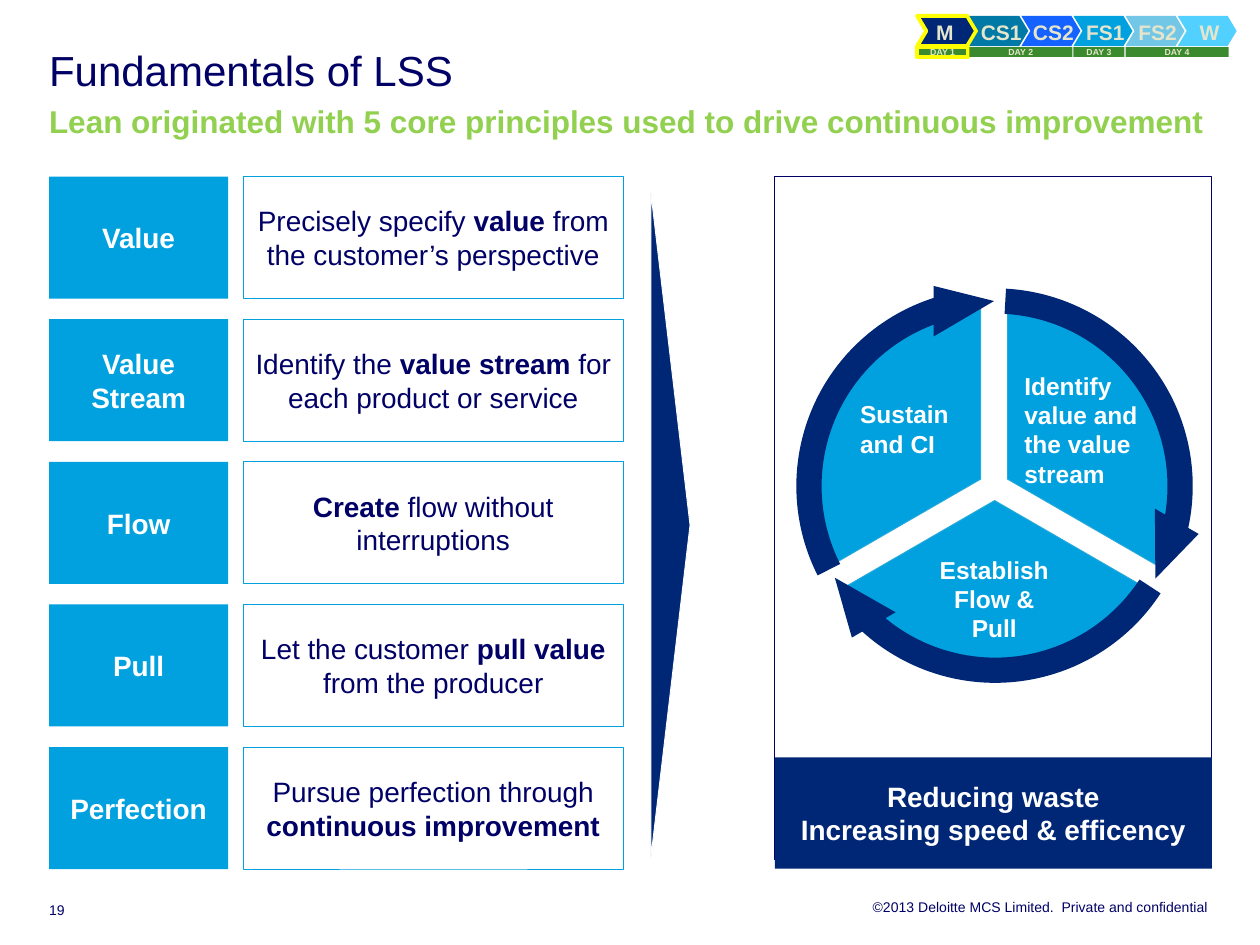
from pptx import Presentation
from pptx.dml.color import RGBColor
from pptx.enum.shapes import MSO_SHAPE
from pptx.enum.text import MSO_ANCHOR, PP_ALIGN
from pptx.util import Cm, Pt

RECT = MSO_SHAPE.RECTANGLE
CHEVRON = MSO_SHAPE.CHEVRON
PIE = MSO_SHAPE.PIE
ARROW = MSO_SHAPE.CIRCULAR_ARROW
WEDGE = MSO_SHAPE.ISOSCELES_TRIANGLE
LEFT, CENTER, RIGHT = PP_ALIGN.LEFT, PP_ALIGN.CENTER, PP_ALIGN.RIGHT
TOP, MIDDLE, BOTTOM = MSO_ANCHOR.TOP, MSO_ANCHOR.MIDDLE, MSO_ANCHOR.BOTTOM

FONT = "Arial"
INK = {name: RGBColor.from_string(code) for name, code in {
    "navy": "002776", "text": "000066", "blue": "00A1DE", "rim": "28AADA",
    "white": "FFFFFF", "lime": "92D050", "cream": "E5E5CC", "green": "3C8A2E",
    "yellow": "FFFF00", "teal": "0079A6", "royal": "1462FF", "sky": "72C7E7",
    "pale": "52D0FF"}.items()}

deck = Presentation()
deck.slide_width, deck.slide_height = Cm(25.4), Cm(19.05)
slide = deck.slides.add_slide(deck.slide_layouts[6])
shapes = slide.shapes


def draw(kind, place, fill=None, line=None, width=0.5, turn=0, adjust=()):
    shape = shapes.add_shape(kind, *[Cm(n) for n in place])
    shape.shadow.inherit = False
    shape.rotation = turn
    for i, value in enumerate(adjust):
        shape.adjustments[i] = value
    if fill:
        shape.fill.solid()
        shape.fill.fore_color.rgb = INK[fill]
    else:
        shape.fill.background()
    if line:
        shape.line.color.rgb = INK[line]
        shape.line.width = Pt(width)
    else:
        shape.line.fill.background()
    return shape


def write(shape, lines, size, ink, align=CENTER, anchor=MIDDLE,
          pads=(0.25, 0.25, 0.25, 0.25), wrap=True, space=None):
    frame = shape.text_frame
    frame.word_wrap = wrap
    frame.vertical_anchor = anchor
    (frame.margin_left, frame.margin_top,
     frame.margin_right, frame.margin_bottom) = [Cm(n) for n in pads]
    for i, runs in enumerate(lines):
        para = frame.add_paragraph() if i else frame.paragraphs[0]
        para.alignment = align
        para.line_spacing = space
        for part, bold in runs:
            run = para.add_run()
            run.text = part
            run.font.name = FONT
            run.font.size = Pt(size)
            run.font.bold = bold
            run.font.color.rgb = INK[ink]


none = (0, 0, 0, 0)
foot = shapes.add_textbox(Cm(8.64), Cm(18.11), Cm(15.72), Cm(0.33))
write(foot, [[("©2013 Deloitte MCS Limited.  Private and confidential", False)]],
      8, "text", RIGHT, TOP, none)
page = shapes.add_textbox(Cm(0.99), Cm(18.19), Cm(0.99), Cm(0.33))
write(page, [[("19", False)]], 8, "text", LEFT, BOTTOM, none)

start, step = 18.49, 1.05
stages = [("M", "navy"), ("CS1", "teal"), ("CS2", "royal"),
          ("FS1", "blue"), ("FS2", "sky"), ("W", "pale")]
for i, (name, fill) in enumerate(stages):
    first = i == 0
    step_box = draw(CHEVRON, (start + i * step, 0.32, 1.19, 0.61), fill,
                    "yellow" if first else None, 2.25, adjust=[0.3])
    write(step_box, [[(name, True)]], 12, "cream", LEFT if first else CENTER,
          pads=(0.2, 0.15, 0, 0.15) if first else (0.51, 0.15, 0.41, 0.15),
          wrap=False, space=1.1)

for day, (slot, span) in enumerate([(0, 1), (1, 2), (3, 1), (4, 2)], 1):
    bar = draw(RECT, (start + slot * step, 0.95, span * step - 0.02, 0.2),
               "green", "yellow" if day == 1 else None, 2.25)
    write(bar, [[(f"DAY {day}", True)]], 5, "cream", anchor=TOP,
          pads=(0.1, 0, 0.1, 0))

draw(RECT, (15.62, 3.56, 8.81, 13.77), line="text", width=0.75)

title = shapes.add_textbox(Cm(0.99), Cm(0.99), Cm(23.4), Cm(1.75))
write(title, [[("Fundamentals of LSS", False)],
              [("Lean originated with 5 core principles used to drive "
                "continuous improvement", True)]],
      24, "text", LEFT, TOP, none, space=Pt(26))
lead = title.text_frame.paragraphs[1].runs[0].font
lead.size = Pt(18)
lead.color.rgb = INK["lime"]

rules = [
    ("Value", [("Precisely specify ", False), ("value", True),
               (" from the customer’s perspective", False)]),
    ("Value Stream", [("Identify the ", False), ("value stream ", True),
                      ("for each product or service", False)]),
    ("Flow", [("Create", True), (" flow without interruptions", False)]),
    ("Pull", [("Let the customer ", False), ("pull value ", True),
              ("from the producer", False)]),
    ("Perfection", [("Pursue perfection through ", False),
                    ("continuous improvement", True)]),
]
for i, (name, runs) in enumerate(rules):
    y = 3.56 + i * 2.875
    note = draw(RECT, (4.9, y, 7.67, 2.46), "white", "blue")
    write(note, [runs], 16, "text")
    label = draw(RECT, (0.99, y, 3.61, 2.46), "blue")
    write(label, [[(name, True)]], 16, "white")

draw(WEDGE, (6.81, 10.19, 13.41, 0.79), "navy", "white", turn=90)

goal = draw(RECT, (15.62, 15.27, 8.81, 2.24), "navy")
write(goal, [[("Reducing waste", True)],
             [("Increasing speed & efficency", True)]], 16, "white")

wheel = [(16.33, 6.22, 15.8, 5.56), (16.87, 6.22, 15.82, 5.56),
         (16.61, 6.65, 15.82, 5.54)]
for i, (px, py, ax, ay) in enumerate(wheel):
    draw(PIE, (px, py, 6.88, 6.88), "blue", "rim", turn=120 * i,
         adjust=[90, 162])
    draw(ARROW, (ax, ay, 8.48, 8.48), "navy", turn=(270 + 120 * i) % 360,
         adjust=[0.06, 11.42, 204.58, 145.91, 0.06])

parts = [("Sustain and CI", (17.09, 7.92, 2.67, 1.45), LEFT),
         ("Identify value and the value stream", (20.4, 7.34, 3.02, 2.64), LEFT),
         ("Establish Flow & Pull", (18.52, 11.05, 3.05, 2.06), CENTER)]
for name, place, align in parts:
    label = shapes.add_textbox(*[Cm(n) for n in place])
    write(label, [[(name, True)]], 14, "white", align, TOP,
          (0.25, 0.13, 0.25, 0.13))

deck.save("out.pptx")
